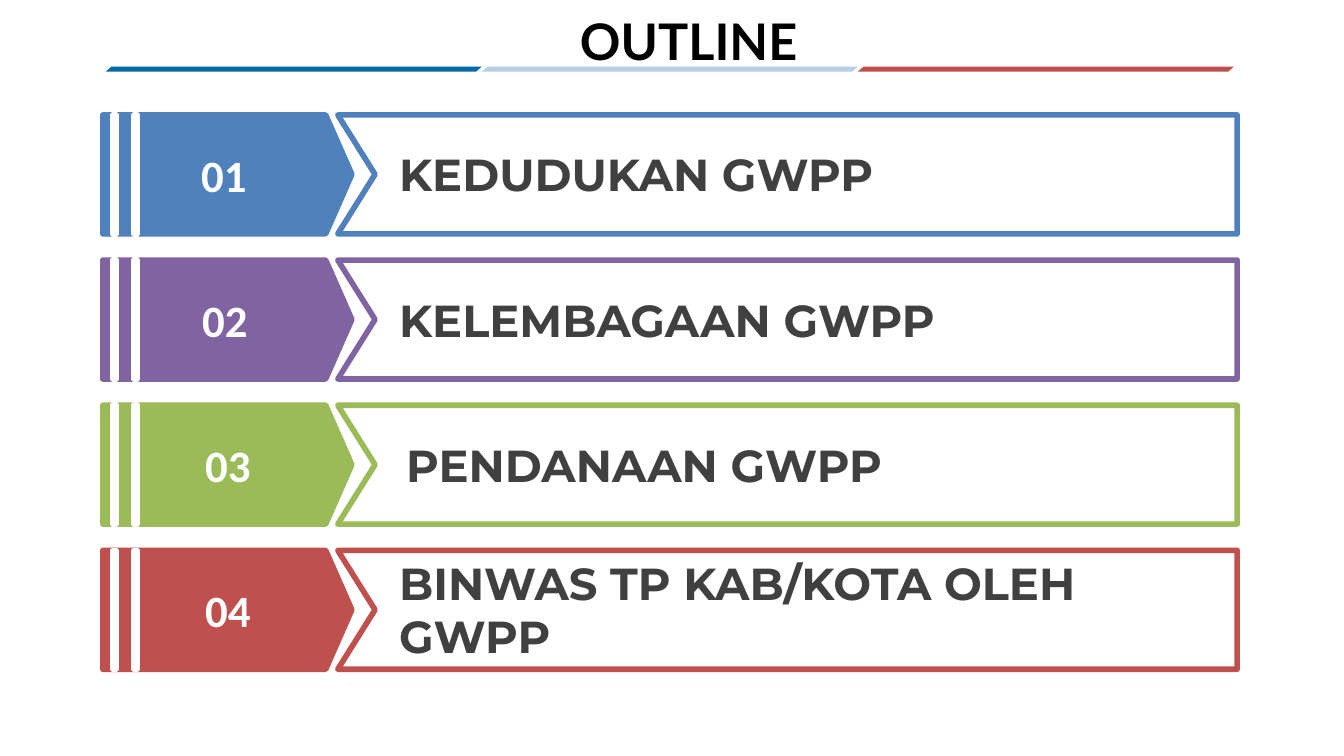
"""Builds the OUTLINE agenda slide with four numbered arrow banners."""
from pptx import Presentation, util as u
from pptx.dml.color import RGBColor
from pptx.enum import shapes, text

BLUE = RGBColor(0x4F, 0x81, 0xBD)
PURPLE = RGBColor(0x80, 0x64, 0xA2)
GREEN = RGBColor(0x9B, 0xBB, 0x59)
RED = RGBColor(0xC0, 0x50, 0x4D)
NAVY = RGBColor(0x01, 0x6A, 0xA3)
PALE = RGBColor(0xB9, 0xCD, 0xE5)
WHITE = RGBColor(0xFF, 0xFF, 0xFF)
BLACK = RGBColor(0, 0, 0)
GREY = RGBColor(0x40, 0x40, 0x40)

TITLE = "OUTLINE"
RULE_COLORS = [NAVY, PALE, RED]
TOPICS = [
    {"number": "01", "label": "KEDUDUKAN GWPP", "color": BLUE, "number_x": 158, "label_x": 386},
    {"number": "02", "label": "KELEMBAGAAN GWPP", "color": PURPLE, "number_x": 159, "label_x": 386},
    {"number": "03", "label": "PENDANAAN GWPP", "color": GREEN, "number_x": 162, "label_x": 393},
    {"number": "04", "label": "BINWAS TP KAB/KOTA OLEH GWPP", "color": RED, "number_x": 162,
     "label_x": 386, "lines": 2},
]

TITLE_FONT = {"name": "Lato", "size": u.Pt(36), "bold": True}
NUMBER_FONT = {"name": "Calibri", "size": u.Pt(32), "bold": True}
LABEL_FONT = {"name": "Montserrat", "size": u.Pt(32), "bold": True}
LABEL_FRAME = {"word_wrap": True}
TITLE_FRAME = {"word_wrap": False}
NUMBER_FRAME = {"word_wrap": True, "vertical_anchor": text.MSO_ANCHOR.MIDDLE,
                "margin_top": 0, "margin_bottom": 0}

PX = 9144
ROW_TOP, ROW_PITCH, ROW_HEIGHT = 114, 144, 118
PANEL_LEFT, PANEL_RIGHT, NOTCH = 335, 1227, 372
STRIPES = [112, 133]
LINE_HEIGHT = {1: 64, 2: 118}
RULE_LEFT, RULE_WIDTH = 105, 373


def px(*lengths):
    return [u.Emu(length * PX) for length in lengths]


def paint(shape, fill, line=None):
    shape.shadow.inherit = False
    shape.fill.solid()
    shape.fill.fore_color.rgb = fill
    if line is None:
        shape.line.fill.background()
    else:
        shape.line.color.rgb = line
        shape.line.width = u.Pt(4)


def add_block(page, kind, area, fill, line=None, adjust=None):
    shape = page.shapes.add_shape(kind, *px(*area))
    if adjust is not None:
        shape.adjustments[0] = adjust
    paint(shape, fill, line)


def add_text(page, words, area, font, color, frame, align=text.PP_ALIGN.LEFT):
    box = page.shapes.add_textbox(*px(*area)).text_frame
    for name, value in frame.items():
        setattr(box, name, value)
    para = box.paragraphs[0]
    para.alignment = align
    span = para.add_run()
    span.text = words
    for name, value in font.items():
        setattr(span.font, name, value)
    span.font.color.rgb = color


def add_banner(page, top, color):
    bottom = top + ROW_HEIGHT
    outline = page.shapes.build_freeform(PANEL_LEFT, top, scale=PX)
    outline.add_line_segments([(PANEL_RIGHT, top), (PANEL_RIGHT, bottom), (PANEL_LEFT, bottom),
                               (NOTCH, top + ROW_HEIGHT // 2)], close=True)
    paint(outline.convert_to_shape(), WHITE, color)
    add_block(page, shapes.MSO_SHAPE.PENTAGON, (102, top, 247, ROW_HEIGHT), color, color, 0.22)
    for left in STRIPES:
        add_block(page, shapes.MSO_SHAPE.RECTANGLE, (left, top, 3, ROW_HEIGHT), WHITE, WHITE)


def main():
    deck = Presentation()
    deck.slide_width, deck.slide_height = px(1333, 750)
    page = deck.slides.add_slide(deck.slide_layouts[6])
    for row, topic in enumerate(TOPICS):
        top = ROW_TOP + row * ROW_PITCH
        height = LINE_HEIGHT[topic.get("lines", 1)]
        add_banner(page, top, topic["color"])
        add_text(page, topic["number"], (topic["number_x"], top + 27, 128, 64),
                 NUMBER_FONT, WHITE, NUMBER_FRAME, text.PP_ALIGN.CENTER)
        add_text(page, topic["label"], (topic["label_x"], top + (ROW_HEIGHT - height) // 2, 790, height),
                 LABEL_FONT, GREY, LABEL_FRAME)
    add_text(page, TITLE, (564, 5, 238, 71), TITLE_FONT, BLACK, TITLE_FRAME, text.PP_ALIGN.CENTER)
    for place, color in enumerate(RULE_COLORS):
        add_block(page, shapes.MSO_SHAPE.PARALLELOGRAM,
                  (RULE_LEFT + place * RULE_WIDTH, 66, RULE_WIDTH, 5), color, adjust=1.14)
    deck.save("out.pptx")


if __name__ == "__main__":
    main()
